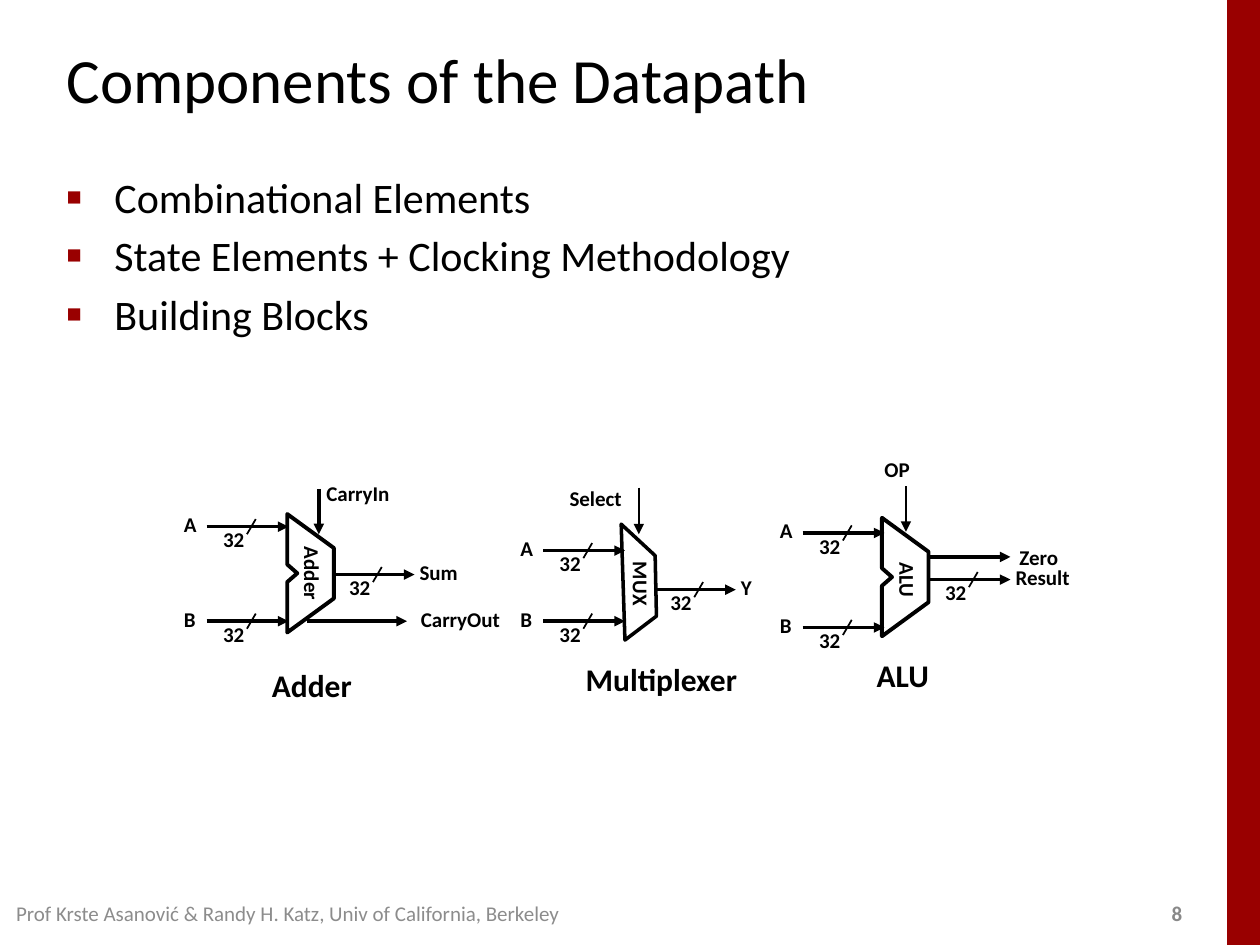
from lxml.etree import SubElement
from pptx import Presentation
from pptx.dml.color import RGBColor
from pptx.enum.shapes import MSO_CONNECTOR as Connector, MSO_SHAPE as Shape
from pptx.enum.text import MSO_ANCHOR as Anchor, MSO_AUTO_SIZE as AutoSize
from pptx.oxml.ns import qn
from pptx.util import Inches, Pt

FONT = "Calibri"
BLACK, RED, GREY, FOOTER = "000000", "990000", "898989", "8C8C8C"
WIRE = 0.65
LABEL_HEIGHT = 0.28
TOPICS = ["Combinational Elements", "State Elements + Clocking Methodology", "Building Blocks"]


def color(value):
    return RGBColor.from_string(value)


def style(paragraph, size, shade=BLACK, bold=False):
    paragraph.font.name = FONT
    paragraph.font.size = Pt(size)
    paragraph.font.bold = bold
    paragraph.font.color.rgb = color(shade)


def add_text(slide, box, text, size, shade=BLACK, bold=False, anchor=Anchor.MIDDLE):
    holder = slide.shapes.add_textbox(*map(Inches, box))
    frame = holder.text_frame
    frame.word_wrap = True
    frame.vertical_anchor = anchor
    frame.text = text
    for paragraph in frame.paragraphs:
        style(paragraph, size, shade, bold)
    return holder


def add_topics(slide, box):
    frame = add_text(slide, box, "\n".join(TOPICS), 24, anchor=Anchor.TOP).text_frame
    for index, paragraph in enumerate(frame.paragraphs):
        props = paragraph._p.get_or_add_pPr()
        props.set("marL", str(Inches(0.38)))
        props.set("indent", str(-Inches(0.38)))
        paragraph.space_before = Pt(4.8 if index else 0)
        shade = SubElement(props, qn("a:buClr"))
        SubElement(shade, qn("a:srgbClr"), val=RED)
        SubElement(props, qn("a:buSzPct"), val="60000")
        SubElement(props, qn("a:buFont"), typeface="Arial")
        SubElement(props, qn("a:buChar"), char="■")


def add_label(slide, x, y, width, text, rotation=0, wrap=False):
    label = add_text(slide, (x, y, width, LABEL_HEIGHT), text, 12, bold=True, anchor=Anchor.TOP)
    frame = label.text_frame
    frame.word_wrap = wrap
    frame.auto_size = AutoSize.SHAPE_TO_FIT_TEXT
    frame.margin_left = frame.margin_right = Inches(0.07)
    frame.margin_top = frame.margin_bottom = Inches(0.04)
    label.rotation = rotation


def add_caption(slide, x, y, width, text):
    caption = add_text(slide, (x, y, width, 0.4), text, 18, bold=True, anchor=Anchor.TOP)
    caption.text_frame.word_wrap = False
    caption.text_frame.auto_size = AutoSize.SHAPE_TO_FIT_TEXT


def add_line(slide, x1, y1, x2, y2, weight=2, arrow=True):
    line = slide.shapes.add_connector(Connector.STRAIGHT, *map(Inches, (x1, y1, x2, y2)))
    line.line.color.rgb = color(BLACK)
    line.line.width = Pt(weight)
    if arrow:
        SubElement(line.line._get_or_add_ln(), qn("a:tailEnd"), type="triangle")
    SubElement(line._element.spPr, qn("a:effectLst"))


def add_bus(slide, x, y):
    add_line(slide, x, y, x + WIRE, y)
    add_line(slide, x + 0.39, y - 0.06, x + 0.32, y + 0.06, 1, arrow=False)
    add_label(slide, x + 0.06, y - 0.04, 0.32, "32")


def add_inputs(slide, x, *levels):
    for name, y in zip("AB", levels):
        add_bus(slide, x, y)
        add_label(slide, x - 0.25, y - 0.16, 0.25, name)


def add_output(slide, x, y, name, width):
    add_bus(slide, x, y)
    add_label(slide, x + 0.62, y - 0.16, width, name)


def add_outline(slide, points, weight):
    start, *rest = [tuple(map(Inches, point)) for point in points]
    builder = slide.shapes.build_freeform(*start)
    builder.add_line_segments(rest, close=True)
    outline = builder.convert_to_shape()
    outline.shadow.inherit = False
    outline.fill.background()
    outline.line.color.rgb = color(BLACK)
    outline.line.width = Pt(weight)


def add_notched_unit(slide, x, y):
    offsets = [(0, 0), (0, 0.4), (0.08, 0.47), (0, 0.54), (0, 0.94), (0.37, 0.67), (0.37, 0.27)]
    add_outline(slide, [(x + dx, y + dy) for dx, dy in offsets], 2.25)


def add_adder(slide):
    add_inputs(slide, 1.64, 4.18, 4.93)
    add_output(slide, 2.64, 4.56, "Sum", 0.46)
    add_line(slide, 2.44, 4.93, 3.23, 4.93)
    add_label(slide, 3.27, 4.77, 0.78, "CarryOut")
    add_line(slide, 2.53, 3.88, 2.53, 4.24)
    add_label(slide, 2.52, 3.77, 0.66, "CarryIn")
    add_label(slide, 2.19, 4.42, 0.58, "Adder", 90)
    add_notched_unit(slide, 2.28, 4.08)
    add_caption(slide, 2.06, 5.24, 0.84, "Adder")


def add_multiplexer(slide):
    add_inputs(slide, 4.31, 4.37, 4.93)
    add_output(slide, 5.19, 4.68, "Y", 0.24)
    add_line(slide, 5.07, 3.87, 5.07, 4.24, 1)
    add_label(slide, 4.45, 3.81, 0.69, "Select", wrap=True)
    add_label(slide, 4.84, 4.5, 0.5, "MUX", 90)
    add_outline(slide, [(4.93, 4.16), (4.96, 5.08), (5.21, 4.89), (5.2, 4.41)], 2)
    add_caption(slide, 4.55, 5.19, 1.41, "Multiplexer")


def add_alu(slide):
    add_inputs(slide, 6.37, 4.23, 4.98)
    add_output(slide, 7.37, 4.6, "Result", 0.58)
    add_line(slide, 7.37, 4.42, 7.37 + WIRE, 4.42)
    add_label(slide, 8.02, 4.28, 0.51, "Zero", wrap=True)
    add_line(slide, 7.19, 3.86, 7.19, 4.22, 1)
    add_label(slide, 6.95, 3.58, 0.5, "OP", wrap=True)
    add_label(slide, 6.99, 4.47, 0.43, "ALU", 90)
    add_notched_unit(slide, 7, 4.11)
    add_caption(slide, 6.86, 5.16, 0.63, "ALU")


def add_side_band(slide):
    band = slide.shapes.add_shape(Shape.RECTANGLE, *map(Inches, (9.74, 0, 0.26, 7.5)))
    band.shadow.inherit = False
    band.fill.solid()
    band.fill.fore_color.rgb = color(RED)
    band.line.fill.background()


def main():
    deck = Presentation()
    deck.slide_width, deck.slide_height = Inches(10), Inches(7.5)
    slide = deck.slides.add_slide(deck.slide_layouts[6])
    add_side_band(slide)
    add_text(slide, (9.2, 7.1, 0.4, 0.3), "8", 12, GREY, bold=True)
    add_text(slide, (0.43, 0.21, 8.3, 0.83), "Components of the Datapath", 36)
    add_topics(slide, (0.43, 1.31, 8.64, 5.67))
    add_adder(slide)
    add_multiplexer(slide)
    add_alu(slide)
    add_text(slide, (0.03, 7.05, 5.74, 0.39),
             "Prof Krste Asanović & Randy H. Katz, Univ of California, Berkeley", 12, FOOTER)
    deck.save("out.pptx")


if __name__ == "__main__":
    main()
